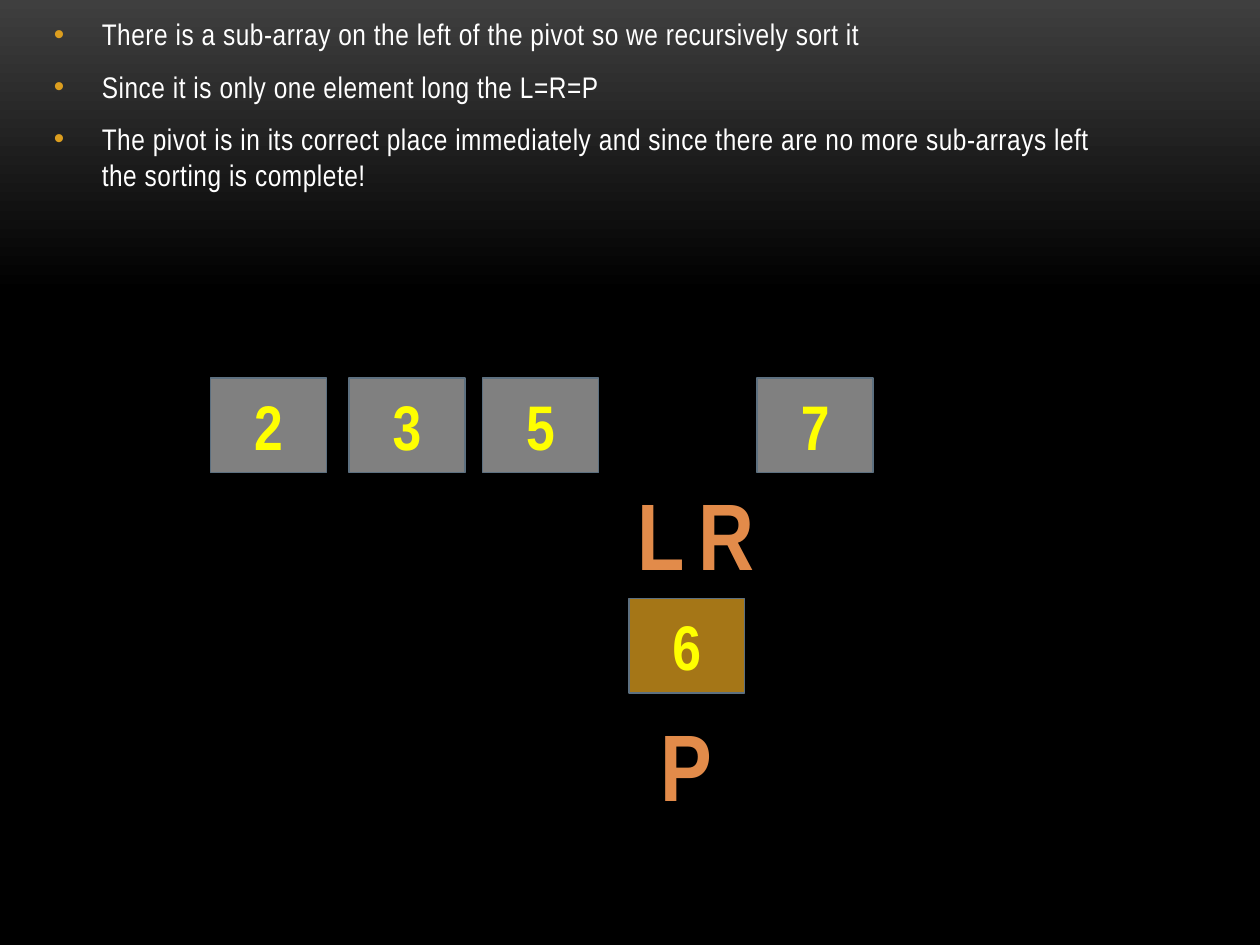
from copy import deepcopy
from dataclasses import dataclass

from lxml.etree import SubElement
from pptx import Presentation
from pptx.dml.color import RGBColor
from pptx.enum.shapes import MSO_SHAPE
from pptx.enum.text import MSO_ANCHOR, MSO_AUTO_SIZE, PP_ALIGN
from pptx.oxml.ns import qn
from pptx.slide import Slide
from pptx.util import Inches, Pt

COLORS = {
    "glow": "3F3F3F",
    "black": "000000",
    "text": "FFFFFF",
    "bullet": "DC9E1F",
    "sorted": "808080",
    "pivot": "A57617",
    "border": "5D7080",
    "digit": "FFFF00",
    "marker": "E28B4A",
}
NOTES = [
    "There is a sub-array on the left of the pivot so we recursively sort it",
    "Since it is only one element long the L=R=P",
    "The pivot is in its correct place immediately and since there are no more "
    "sub-arrays left the sorting is complete!",
]
ROW_TOP = 3
SORTED_CELLS = [("2", 1.67), ("3", 2.77), ("5", 3.83), ("7", 6.01)]
MARKERS = [("P", 5.14, 5.56, 0.62), ("R", 5.44, 3.73, 0.65), ("L", 4.96, 3.73, 0.58)]


def color(name):
    """Return the named colour."""
    return RGBColor.from_string(COLORS[name])


@dataclass
class Painter:
    """Holds the style and the slide being filled."""

    page: Slide
    font: str = "Arial Narrow"
    cell_width: float = 0.92
    cell_height: float = 0.75

    def style(self, paragraph, size, shade, bold=False):
        """Format every run of a paragraph."""
        for span in paragraph.runs:
            span.font.name = self.font
            span.font.size = Pt(size)
            span.font.bold = bold
            span.font.color.rgb = color(shade)

    def background(self):
        """Fade the background from grey at the top to black."""
        fill = self.page.background.fill
        fill.gradient()
        fill.gradient_angle = 270
        for stop, shade, position in zip(fill.gradient_stops, ("glow", "black"), (0, 0.31)):
            stop.color.rgb = color(shade)
            stop.position = position
        stops = next(self.page.element.iter(qn("a:gsLst")))
        last = deepcopy(stops[-1])
        last.set("pos", "100000")
        stops.append(last)

    def bullets(self, lines, left, top, width, height):
        """Add a bulleted list."""
        box = self.page.shapes.add_textbox(
            Inches(left), Inches(top), Inches(width), Inches(height))
        frame = box.text_frame
        frame.word_wrap = True
        frame.text = "\n".join(lines)
        for para in frame.paragraphs:
            para.space_before = Pt(3.4)
            para.space_after = Pt(6)
            self.style(para, 17, "text")
            for span in para.runs:
                span.font._element.set("spc", "30")
            properties = para._p.get_or_add_pPr()
            properties.set("marL", str(Inches(0.38)))
            properties.set("indent", str(Inches(-0.38)))
            tint = SubElement(properties, qn("a:buClr"))
            SubElement(tint, qn("a:srgbClr"), val=COLORS["bullet"])
            SubElement(properties, qn("a:buFont"), typeface="Arial")
            SubElement(properties, qn("a:buChar"), char="•")

    def cell(self, digit, left, top, shade):
        """Add one array element."""
        box = self.page.shapes.add_shape(
            MSO_SHAPE.RECTANGLE, Inches(left), Inches(top),
            Inches(self.cell_width), Inches(self.cell_height))
        box.shadow.inherit = False
        box.fill.solid()
        box.fill.fore_color.rgb = color(shade)
        box.line.color.rgb = color("border")
        box.line.width = Pt(0.85)
        frame = box.text_frame
        frame.text = digit
        frame.vertical_anchor = MSO_ANCHOR.MIDDLE
        para = frame.paragraphs[0]
        para.alignment = PP_ALIGN.CENTER
        self.style(para, 36, "digit", bold=True)

    def marker(self, letter, left, top, width):
        """Add a pointer letter."""
        box = self.page.shapes.add_textbox(
            Inches(left), Inches(top), Inches(width), Inches(1.01))
        frame = box.text_frame
        frame.word_wrap = False
        frame.auto_size = MSO_AUTO_SIZE.SHAPE_TO_FIT_TEXT
        frame.text = letter
        para = frame.paragraphs[0]
        para.alignment = PP_ALIGN.CENTER
        self.style(para, 54, "marker", bold=True)


def main():
    """Build the slide."""
    deck = Presentation()
    deck.slide_width, deck.slide_height = Inches(10), Inches(7.5)
    painter = Painter(deck.slides.add_slide(deck.slide_layouts[6]))
    painter.background()
    painter.bullets(NOTES, 0.33, 0.08, 8.67, 3.24)
    painter.cell("6", 4.99, 4.75, "pivot")
    for digit, left in SORTED_CELLS:
        painter.cell(digit, left, ROW_TOP, "sorted")
    for marker in MARKERS:
        painter.marker(*marker)
    deck.save("out.pptx")


if __name__ == "__main__":
    main()
